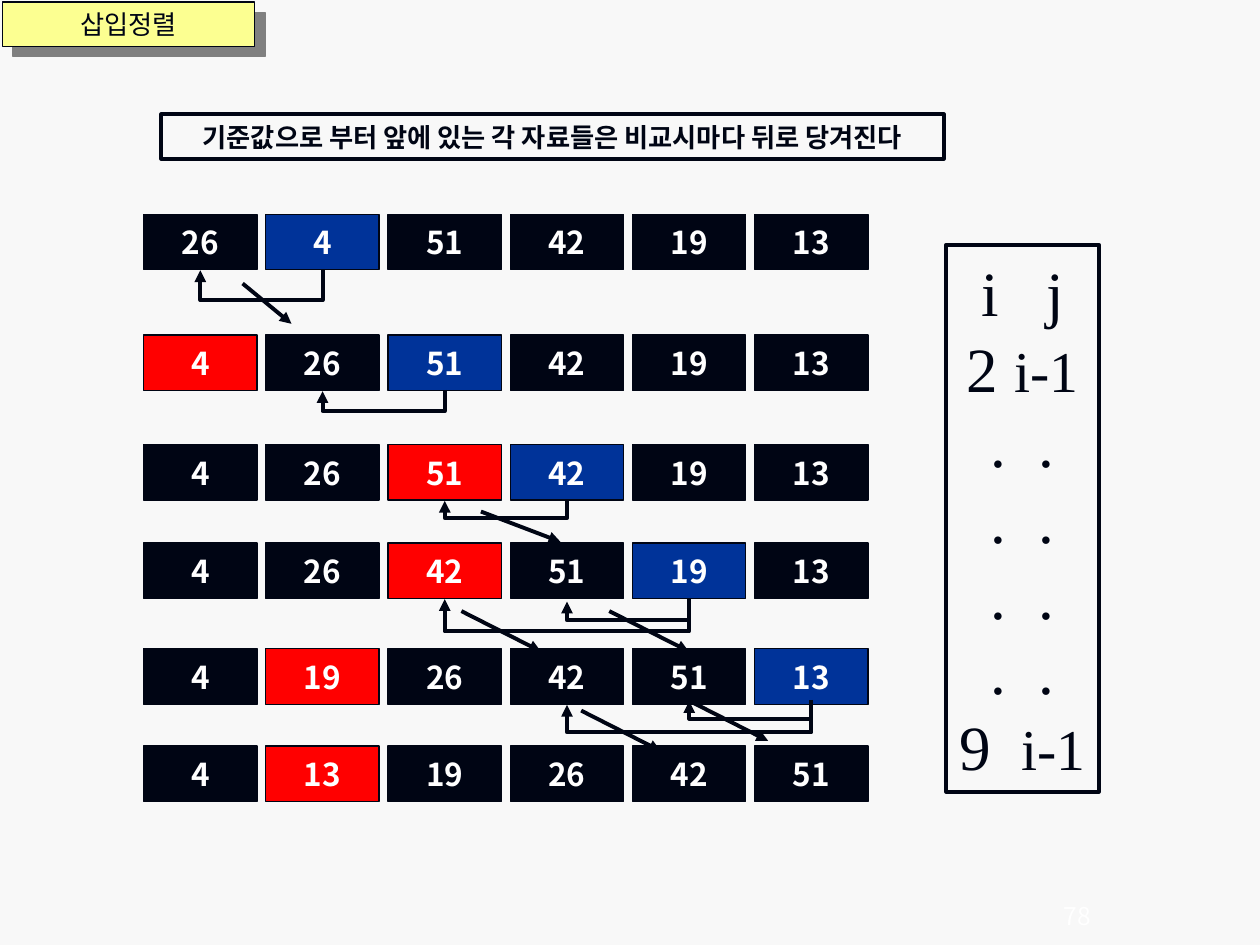
from dataclasses import dataclass

import pptx
import pptx.util
import pptx.dml.color
import pptx.enum.shapes
import pptx.enum.text
import pptx.oxml
import pptx.oxml.ns
import lxml.etree

WIDTH, HEIGHT = 10, 7.5
INK, PAPER, WHITE = "000514", "F8F8F8", "FFFFFF"
KEY, PLACED, LABEL, SHADOW = "003399", "FF0000", "FCFF91", "808080"
SANS, SERIF, KOREAN = "Arial", "Times New Roman", "Noto Sans CJK KR"

# Grid of the sorting steps, in inches
LEFT, PITCH = 1.14, 0.97
CELL_WIDTH, CELL_HEIGHT = 0.9, 0.44
ROW_TOPS = (1.7, 2.66, 3.53, 4.31, 5.15, 5.92)


@dataclass
class Step:
    """One pass: its values, the column just placed and the column of the key."""
    values: tuple[int, ...]
    placed: int | None
    key: int | None


@dataclass
class Comparison:
    """Elbow arrow under a row, from the key's column back to another."""
    row: int
    start: int
    end: int
    depth: float
    drop: float = 0


@dataclass
class Shift:
    """Slanted arrow: start in columns, drop below the row, size in columns and inches."""
    row: int
    column: float
    drop: float
    columns: float = 0.65
    height: float = 0.32


@dataclass
class Part:
    """Piece of a line of text, with the extra space after each letter."""
    text: str
    size: float
    spread: float = 0


STEPS = (
    Step((26, 4, 51, 42, 19, 13), None, 1),
    Step((4, 26, 51, 42, 19, 13), 0, 2),
    Step((4, 26, 51, 42, 19, 13), 2, 3),
    Step((4, 26, 42, 51, 19, 13), 2, 4),
    Step((4, 19, 26, 42, 51, 13), 1, 5),
    Step((4, 13, 19, 26, 42, 51), 1, None),
)
COMPARISONS = (
    Comparison(0, 1, 0, 0.25),
    Comparison(1, 2, 1, 0.17),
    Comparison(2, 3, 2, 0.15),
    Comparison(3, 4, 2, 0.27),
    Comparison(3, 4, 3, 0.16, 0.02),
    Comparison(4, 5, 3, 0.23),
    Comparison(4, 5, 4, 0.15, -0.03),
)
SHIFTS = (
    Shift(0, 0.81, 0.11, columns=0.4),
    Shift(2, 2.76, 0.09, height=0.24),
    Shift(3, 3.81, 0.1),
    Shift(3, 2.6, 0.1),
    Shift(4, 3.58, 0.05),
    Shift(4, 4.46, -0.03),
)
DOTS = [Part(".", 36), Part(" ", 36, 9), Part(".", 36)]
LOOP_LINES = [
    [Part("i", 36), Part(" ", 36, 18), Part("j", 36)],
    [Part("2 ", 36), Part("i-1", 33)],
    *[DOTS] * 4,
    [Part("9", 36), Part(" ", 36, 8.25), Part("i-1", 33)],
]


def color(value: str) -> pptx.dml.color.RGBColor:
    return pptx.dml.color.RGBColor.from_string(value)


def inches(*lengths: float) -> list[int]:
    return [pptx.util.Inches(length) for length in lengths]


def shares(left: float, top: float, width: float, height: float) -> list[int]:
    return inches(left * WIDTH, top * HEIGHT, width * WIDTH, height * HEIGHT)


def column_x(column: float) -> float:
    return LEFT + column * PITCH


def row_bottom(row: int) -> float:
    return ROW_TOPS[row] + CELL_HEIGHT


def style_box(box, fill: str | None, line_width: float) -> None:
    box.shadow.inherit = False
    if fill:
        box.fill.solid()
        box.fill.fore_color.rgb = color(fill)
    else:
        box.fill.background()
    box.line.color.rgb = color(INK)
    box.line.width = pptx.util.Pt(line_width)


def write(box, lines: list[list[Part]], font: str, ink: str, bold: bool = False,
          wrap: bool = False, line_height: float | None = None) -> None:
    frame = box.text_frame
    frame.word_wrap = wrap
    frame.auto_size = pptx.enum.text.MSO_AUTO_SIZE.NONE
    frame.vertical_anchor = pptx.enum.text.MSO_ANCHOR.MIDDLE
    for index, parts in enumerate(lines):
        paragraph = frame.paragraphs[0] if index == 0 else frame.add_paragraph()
        paragraph.alignment = pptx.enum.text.PP_ALIGN.CENTER
        if line_height:
            paragraph.line_spacing = pptx.util.Pt(line_height)
        for part in parts:
            run = paragraph.add_run()
            run.text = part.text
            run.font.size = pptx.util.Pt(part.size)
            run.font.name = font
            run.font.bold = bold
            run.font.color.rgb = color(ink)
            properties = run.font._element
            lxml.etree.SubElement(properties, pptx.oxml.ns.qn("a:ea"), typeface=KOREAN)
            if part.spread:
                properties.set("spc", str(round(part.spread * 100)))


def add_box(slide, place: list[int], fill: str | None, line_width: float):
    box = slide.shapes.add_shape(pptx.enum.shapes.MSO_SHAPE.RECTANGLE, *place)
    style_box(box, fill, line_width)
    return box


def add_title(slide, text: str) -> None:
    title = slide.shapes.title
    title.left, title.top, title.width, title.height = shares(0.002, 0.002, 0.2, 0.047)
    style_box(title, LABEL, 0.75)
    write(title, [[Part(text, 15)]], SANS, INK, wrap=True)
    effects = title._element.spPr.find(pptx.oxml.ns.qn("a:effectLst"))
    effects.append(pptx.oxml.parse_xml(
        f'<a:outerShdw {pptx.oxml.ns.nsdecls("a")} dist="107950" dir="2700000" '
        f'algn="ctr" rotWithShape="0"><a:srgbClr val="{SHADOW}"/></a:outerShdw>'))


def add_step(slide, row: int, step: Step) -> None:
    fills = {step.placed: PLACED, step.key: KEY}
    for column, value in enumerate(step.values):
        place = inches(column_x(column), ROW_TOPS[row], CELL_WIDTH, CELL_HEIGHT)
        cell = add_box(slide, place, fills.get(column, INK), 0.75)
        write(cell, [[Part(str(value), 18)]], KOREAN, WHITE, bold=True)


def add_arrow(slide, kind, *ends: float):
    arrow = slide.shapes.add_connector(kind, *inches(*ends))
    arrow.line.color.rgb = color(INK)
    arrow.line.width = pptx.util.Pt(2.25)
    line = arrow.line._get_or_add_ln()
    lxml.etree.SubElement(line, pptx.oxml.ns.qn("a:tailEnd"), type="triangle")
    lxml.etree.SubElement(arrow._element.spPr, pptx.oxml.ns.qn("a:effectLst"))
    return arrow


def add_comparison(slide, comparison: Comparison) -> None:
    """Turn a thin elbow by 90 degrees; its bend lies far outside its own width."""
    thin = 0.01
    span = (comparison.start - comparison.end) * PITCH
    middle = column_x((comparison.start + comparison.end) / 2) + CELL_WIDTH / 2
    y = row_bottom(comparison.row) + comparison.drop
    elbow = add_arrow(slide, pptx.enum.shapes.MSO_CONNECTOR.ELBOW,
                      middle - thin / 2, y - span / 2, middle + thin / 2, y + span / 2)
    properties = elbow._element.spPr
    properties.find(pptx.oxml.ns.qn("a:xfrm")).set("rot", str(90 * 60000))
    bends = properties.find(pptx.oxml.ns.qn("a:prstGeom")).get_or_add_avLst()
    bend = round(comparison.depth / thin * 100000)
    lxml.etree.SubElement(bends, pptx.oxml.ns.qn("a:gd"), name="adj1", fmla=f"val {bend}")


def add_shift(slide, shift: Shift) -> None:
    y = row_bottom(shift.row) + shift.drop
    add_arrow(slide, pptx.enum.shapes.MSO_CONNECTOR.STRAIGHT, column_x(shift.column), y,
              column_x(shift.column + shift.columns), y + shift.height)


def main() -> None:
    deck = pptx.Presentation()
    deck.slide_width, deck.slide_height = inches(WIDTH, HEIGHT)
    slide = deck.slides.add_slide(deck.slide_layouts[5])
    slide.background.fill.solid()
    slide.background.fill.fore_color.rgb = color(PAPER)

    add_title(slide, "삽입정렬")
    for row, step in enumerate(STEPS):
        add_step(slide, row, step)
    for comparison in COMPARISONS:
        add_comparison(slide, comparison)

    loop_panel = add_box(slide, shares(0.751, 0.259, 0.121, 0.579), None, 2.25)
    write(loop_panel, LOOP_LINES, SERIF, INK, line_height=43.2)
    rule = add_box(slide, shares(0.128, 0.121, 0.621, 0.047), None, 2.25)
    rule_text = "기준값으로 부터 앞에 있는 각 자료들은 비교시마다 뒤로 당겨진다"
    write(rule, [[Part(rule_text, 15)]], SERIF, INK, bold=True)

    for shift in SHIFTS:
        add_shift(slide, shift)
    page_number = slide.shapes.add_textbox(*shares(0.82, 0.945, 0.07, 0.047))
    write(page_number, [[Part("78", 14)]], KOREAN, WHITE)
    deck.save("out.pptx")


if __name__ == "__main__":
    main()
